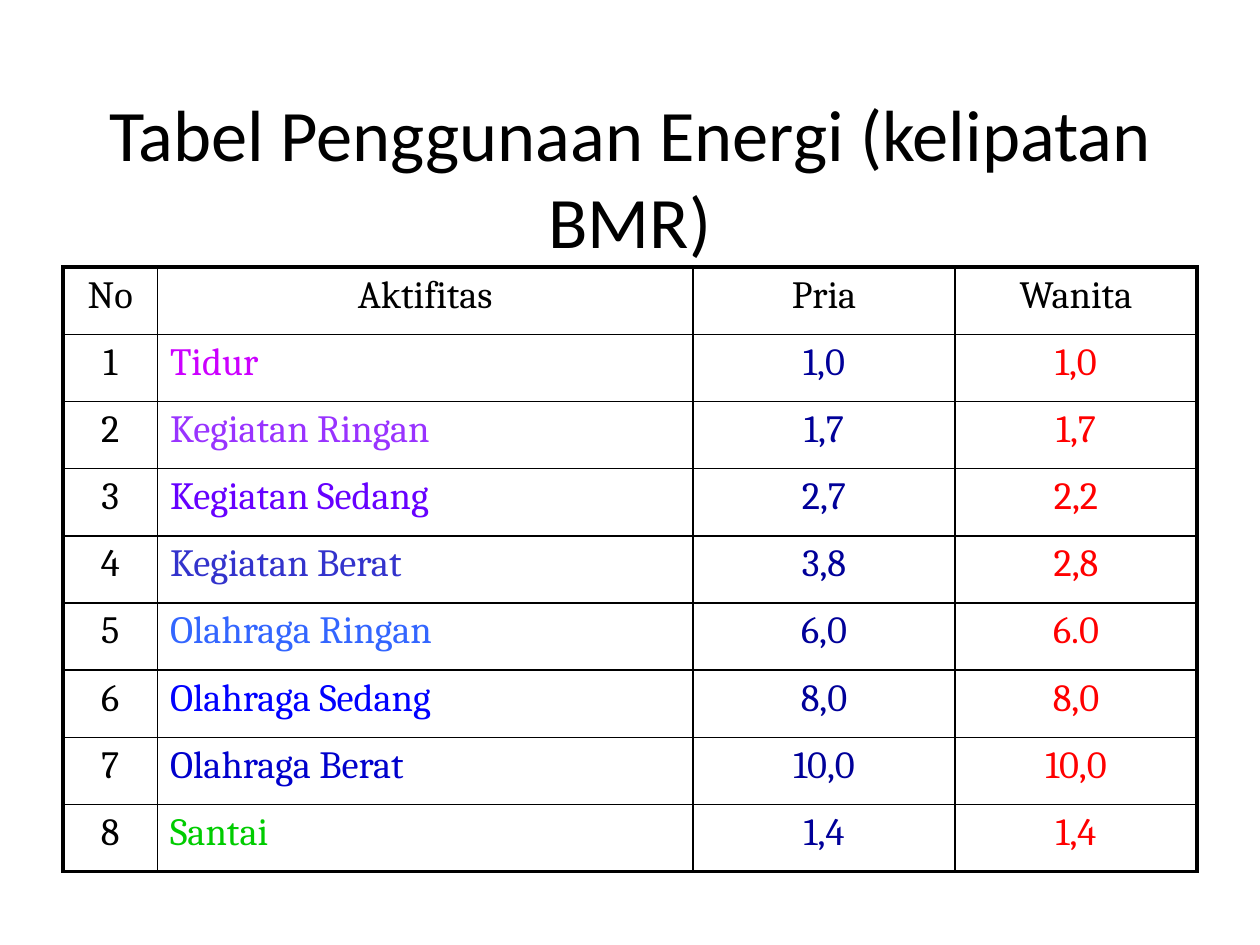
from lxml import etree
from pptx import Presentation
from pptx.dml.color import RGBColor
from pptx.enum.text import MSO_ANCHOR, PP_ALIGN
from pptx.oxml.ns import qn
from pptx.util import Inches, Pt

CENTER, LEFT = PP_ALIGN.CENTER, PP_ALIGN.LEFT
MIDDLE = MSO_ANCHOR.MIDDLE
BLACK, NAVY, RED = "000000", "000099", "FF0000"
THIN, THICK = 1, 2.25


def write(frame, text, font="Cambria", size=22, color=BLACK, align=CENTER, before=0):
    para = frame.paragraphs[0]
    para.alignment = align
    para.space_before = Pt(before)
    span = para.add_run()
    span.text = text
    span.font.name = font
    span.font.size = Pt(size)
    span.font.color.rgb = RGBColor.from_string(color)


def draw_borders(cell, **widths):
    properties = cell._tc.get_or_add_tcPr()
    for position, (side, width) in enumerate(widths.items()):
        line = etree.Element(qn(f"a:{side}"), w=str(Pt(width)))
        fill = etree.SubElement(line, qn("a:solidFill"))
        etree.SubElement(fill, qn("a:srgbClr"), val=BLACK)
        properties.insert(position, line)


deck = Presentation()
deck.slide_width, deck.slide_height = Inches(10), Inches(7.5)
page = deck.slides.add_slide(deck.slide_layouts[6])

title = page.shapes.add_textbox(Inches(0.5), Inches(0.77), Inches(9), Inches(1.25))
title.text_frame.word_wrap = True
title.text_frame.vertical_anchor = MIDDLE
write(title.text_frame, "Tabel Penggunaan Energi (kelipatan BMR)", font="Calibri", size=41.4)

activities = [
    ("Tidur", "CC00FF", "1,0", "1,0"),
    ("Kegiatan Ringan", "9933FF", "1,7", "1,7"),
    ("Kegiatan Sedang", "6600FF", "2,7", "2,2"),
    ("Kegiatan Berat", "3333CC", "3,8", "2,8"),
    ("Olahraga Ringan", "3366FF", "6,0", "6.0"),
    ("Olahraga Sedang", "0000FF", "8,0", "8,0"),
    ("Olahraga Berat", "0000CC", "10,0", "10,0"),
    ("Santai", "00CC00", "1,4", "1,4"),
]
rows = [[(head, BLACK, CENTER) for head in ("No", "Aktifitas", "Pria", "Wanita")]]
for number, (activity, color, men, women) in enumerate(activities, 1):
    rows.append([
        (str(number), BLACK, CENTER),
        (activity, color, LEFT),
        (men, NAVY, CENTER),
        (women, RED, CENTER),
    ])

column_widths = [0.75, 4.25, 2.08, 1.92]
last_row, last_column = len(rows) - 1, len(column_widths) - 1
table = page.shapes.add_table(
    len(rows), len(column_widths), Inches(0.5), Inches(2.12), Inches(9), Inches(4.8)
).table
table.first_row = False
table.horz_banding = False
for column, width in zip(table.columns, column_widths):
    column.width = Inches(width)

for r, row in enumerate(rows):
    for c, (text, color, align) in enumerate(row):
        cell = table.cell(r, c)
        cell.fill.background()
        write(cell.text_frame, text, color=color, align=align, before=4.4)
        draw_borders(
            cell,
            lnL=THICK if c == 0 else THIN,
            lnR=THICK if c == last_column else THIN,
            lnT=THICK if r == 0 else THIN,
            lnB=THICK if r == last_row else THIN,
        )

deck.save("out.pptx")
